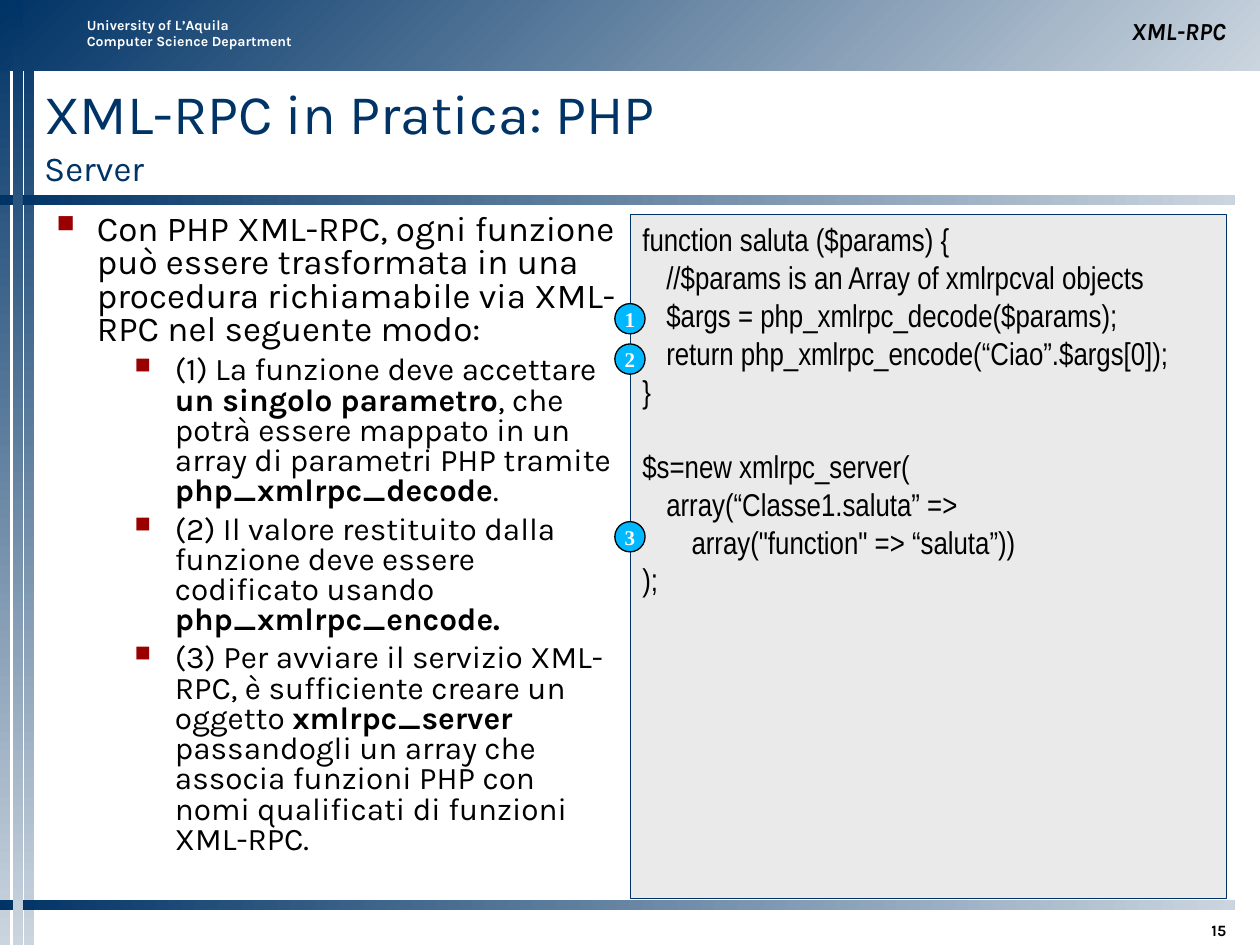
import pptx
import pptx.util
import pptx.dml.color
import pptx.enum.shapes
import pptx.enum.text
import pptx.oxml.ns
from lxml import etree

Inches = pptx.util.Inches
Pt = pptx.util.Pt
SHAPE = pptx.enum.shapes.MSO_SHAPE
ALIGN = pptx.enum.text.PP_ALIGN
ANCHOR = pptx.enum.text.MSO_ANCHOR

THEME = {
    "navy": "003366", "mist": "CBD5DF", "black": "000000", "white": "FFFFFF",
    "panel": "EAEAEA", "bullet": "9A0000", "marker": "00B8FF",
    "font": "Karla", "code_font": "Arial Narrow", "marker_font": "Times New Roman",
    "title": 32, "subtitle": 20, "body": 20, "detail": 18, "code": 18,
    "marker_size": 12, "topic": 14, "department": 8, "number": 9,
}

DEPARTMENT = "University of L’Aquila\nComputer Science Department"
TOPIC = "XML-RPC"
NUMBER = "15"
TITLE = ("XML-RPC in Pratica: PHP\n", "Server")
INTRODUCTION = ("Con PHP XML-RPC, ogni funzione può essere trasformata in una procedura "
                "richiamabile via XML-RPC nel seguente modo:")
STEPS = [
    [("(1) La funzione deve accettare ", False), ("un singolo parametro", True),
     (", che potrà essere mappato in un array di parametri PHP tramite ", False),
     ("php_xmlrpc_decode", True), (".", False)],
    [("(2) Il valore restituito dalla funzione deve essere codificato usando ", False),
     ("php_xmlrpc_encode.", True)],
    [("(3) Per avviare il servizio XML-RPC, è sufficiente creare un oggetto ", False),
     ("xmlrpc_server", True),
     (" passandogli un array che associa funzioni PHP con nomi qualificati di funzioni XML-RPC.",
      False)],
]
CODE_BLOCKS = [
    ["function saluta ($params) {",
     "\t//$params is an Array of xmlrpcval objects",
     "\t$args = php_xmlrpc_decode($params);",
     "\treturn php_xmlrpc_encode(“Ciao”.$args[0]);",
     "}"],
    ["$s=new xmlrpc_server(",
     "\tarray(“Classe1.saluta” =>",
     "\t\tarray(\"function\" => “saluta”))",
     ");"],
]
CODE_TABS = [0.19, 0.39, 0.58, 0.79, 0.98]
CODE_LINE = 21.5
MARKERS = [("1", 2.41), ("2", 2.73), ("3", 4.14)]
MARKER_DIAMETER = 0.24
BAR = 0.08
SIDE_BARS = [0, 0.19]
MIDDLE_BAR = 0.1
RULES = [1.55, 7.14]
PANEL = (5, 1.7, 4.73, 5.43)


def color(name):
    return pptx.dml.color.RGBColor.from_string(THEME[name])


def add_text(paragraph, text, size, font="font", fill="black", bold=False, italic=False):
    for index, line in enumerate(text.split("\n")):
        if index:
            paragraph.add_line_break()
        if line:
            run = paragraph.add_run()
            run.text = line
            run.font.size = Pt(THEME[size])
            run.font.name = THEME[font]
            run.font.color.rgb = color(fill)
            run.font.bold = bold
            run.font.italic = italic


def prepare_frame(shape, anchor=ANCHOR.TOP, insets=(0.1, 0.05, 0.1, 0.05), wrap=True):
    frame = shape.text_frame
    frame.auto_size = pptx.enum.text.MSO_AUTO_SIZE.NONE
    frame.word_wrap = wrap
    frame.vertical_anchor = anchor
    frame.margin_left, frame.margin_top, frame.margin_right, frame.margin_bottom = map(Inches, insets)
    return frame


def add_box(slide, box, **layout):
    return prepare_frame(slide.shapes.add_textbox(*map(Inches, box)), **layout)


def next_paragraph(frame):
    first = frame.paragraphs[0]
    return frame.add_paragraph() if first.runs else first


def add_child(parent, tag, **attributes):
    return etree.SubElement(parent, pptx.oxml.ns.qn(tag), attributes)


def add_bullet(frame, indent, before, level):
    paragraph = next_paragraph(frame)
    paragraph.level = level
    paragraph.line_spacing = 0.8
    paragraph.space_before = Pt(before)
    properties = paragraph._p.get_or_add_pPr()
    properties.set("marL", str(Inches(indent)))
    properties.set("indent", str(Inches(-0.32)))
    add_child(add_child(properties, "a:buClr"), "a:srgbClr", val=THEME["bullet"])
    add_child(properties, "a:buSzPct", val="70000")
    add_child(properties, "a:buChar", char="■")
    return paragraph


def add_gradient(slide, box, angle):
    shape = slide.shapes.add_shape(SHAPE.RECTANGLE, *map(Inches, box))
    shape.shadow.inherit = False
    shape.line.fill.background()
    shape.fill.gradient()
    shape.fill.gradient_angle = angle
    for stop, name in zip(shape.fill.gradient_stops, ("navy", "mist")):
        stop.color.rgb = color(name)


def add_solid(slide, kind, box, fill, line, width):
    shape = slide.shapes.add_shape(kind, *map(Inches, box))
    shape.shadow.inherit = False
    shape.fill.solid()
    shape.fill.fore_color.rgb = color(fill)
    shape.line.color.rgb = color(line)
    shape.line.width = Pt(width)
    return shape


def add_frame_bars(slide):
    for left in SIDE_BARS:
        add_gradient(slide, (left, 0, BAR, 7.5), 270)
    add_gradient(slide, (0, 0, 10, 0.56), 315)
    for top in RULES:
        add_gradient(slide, (0, top, 9.8, BAR), 0)
    add_gradient(slide, (MIDDLE_BAR, 0, BAR, 7.5), 270)


def add_title(slide):
    title = slide.shapes.title
    title.left, title.top, title.width, title.height = map(Inches, (0.35, 0.58, 9.48, 0.96))
    paragraph = prepare_frame(title, ANCHOR.MIDDLE, (0, 0, 0, 0)).paragraphs[0]
    paragraph.alignment = ALIGN.LEFT
    for text, size in zip(TITLE, ("title", "subtitle")):
        add_text(paragraph, text, size, fill="navy")


def add_body(slide):
    frame = add_box(slide, (0.35, 1.7, 4.65, 5.42), insets=(0.1, 0, 0.1, 0))
    add_text(add_bullet(frame, 0.32, 5, 0), INTRODUCTION, "body")
    for step in STEPS:
        paragraph = add_bullet(frame, 0.94, 4.5, 1)
        for text, bold in step:
            add_text(paragraph, text, "detail", bold=bold)


def add_code(slide):
    frame = prepare_frame(add_solid(slide, SHAPE.RECTANGLE, PANEL, "panel", "navy", 0.25))
    for block_index, block in enumerate(CODE_BLOCKS):
        for line_index, line in enumerate(block):
            paragraph = next_paragraph(frame)
            paragraph.alignment = ALIGN.LEFT
            if block_index and not line_index:
                paragraph.space_before = Pt(CODE_LINE)
            tabs = add_child(paragraph._p.get_or_add_pPr(), "a:tabLst")
            for position in CODE_TABS:
                add_child(tabs, "a:tab", pos=str(Inches(position)), algn="l")
            add_text(paragraph, line, "code", font="code_font")


def add_markers(slide):
    left = PANEL[0] - MARKER_DIAMETER / 2
    for label, top in MARKERS:
        box = (left, top, MARKER_DIAMETER, MARKER_DIAMETER)
        shape = add_solid(slide, SHAPE.OVAL, box, "marker", "black", 0.75)
        paragraph = prepare_frame(shape, ANCHOR.MIDDLE, wrap=False).paragraphs[0]
        paragraph.alignment = ALIGN.CENTER
        add_text(paragraph, label, "marker_size", font="marker_font", fill="white", bold=True)


def add_labels(slide):
    department = add_box(slide, (0.59, 0.08, 1.85, 0.5)).paragraphs[0]
    department.space_before = Pt(5)
    add_text(department, DEPARTMENT, "department", fill="white", bold=True)
    topic = add_box(slide, (5, 0.08, 4.83, 0.33), anchor=ANCHOR.BOTTOM).paragraphs[0]
    topic.alignment = ALIGN.RIGHT
    add_text(topic, TOPIC, "topic", bold=True, italic=True)
    number = add_box(slide, (8.74, 7.21, 1.09, 0.25), anchor=ANCHOR.BOTTOM,
                     insets=(0.1, 0.05, 0.1, 0)).paragraphs[0]
    number.alignment = ALIGN.RIGHT
    add_text(number, NUMBER, "number", bold=True)


def main():
    presentation = pptx.Presentation()
    presentation.slide_width, presentation.slide_height = Inches(10), Inches(7.5)
    slide = presentation.slides.add_slide(presentation.slide_layouts[5])
    for add_part in (add_frame_bars, add_title, add_body, add_code, add_markers, add_labels):
        add_part(slide)
    presentation.save("out.pptx")


if __name__ == "__main__":
    main()
